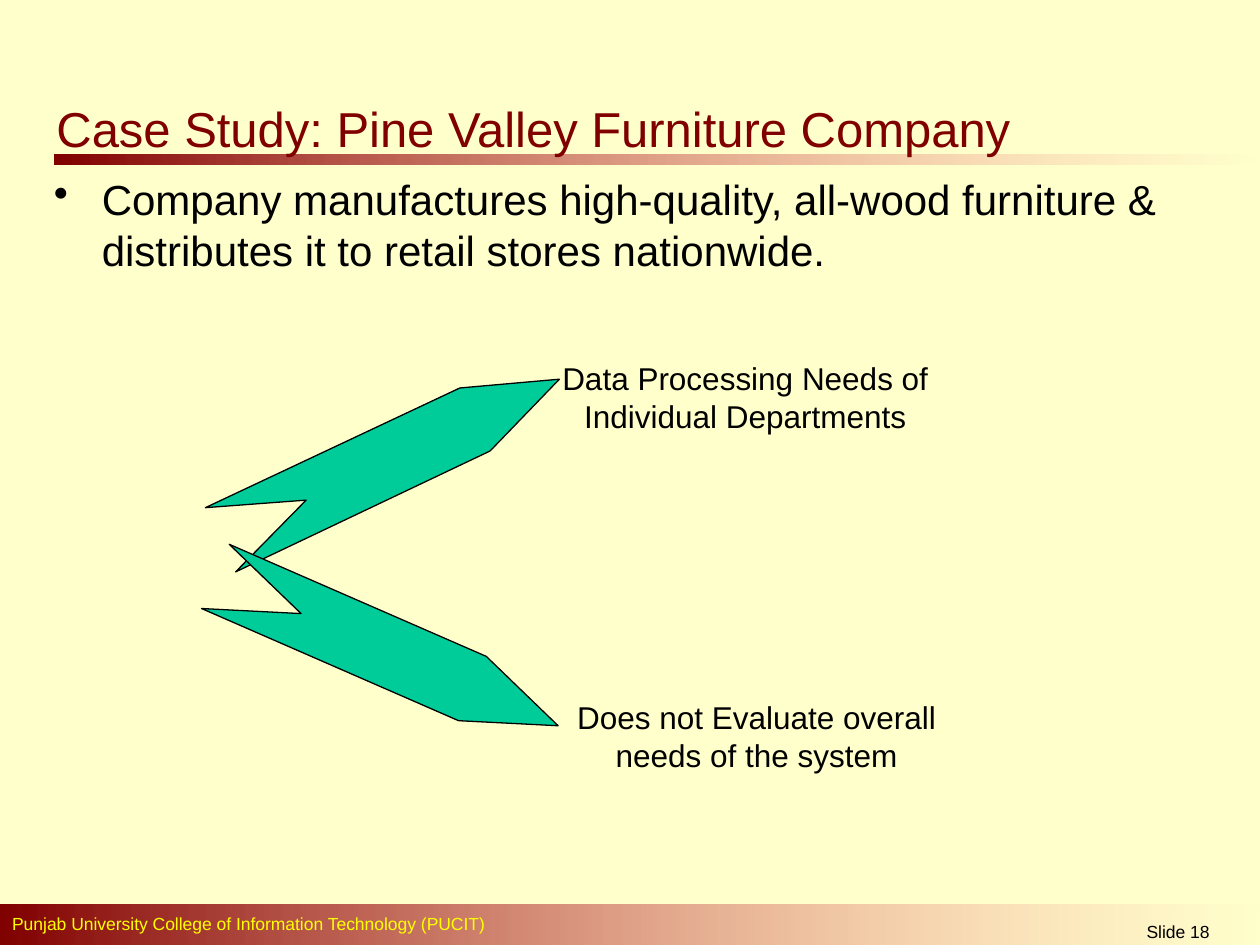
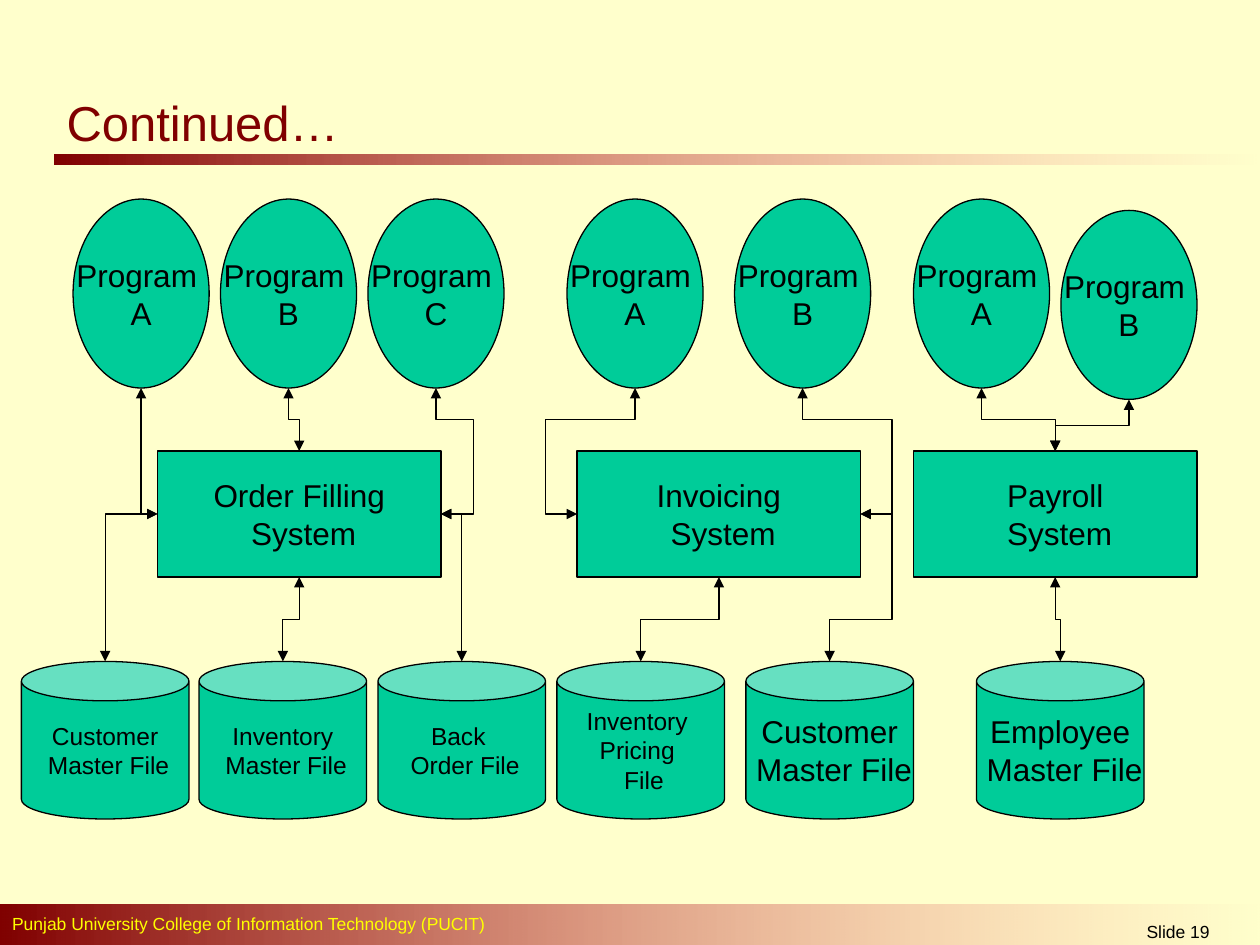
from lxml import etree
from pptx import Presentation
from pptx.dml.color import RGBColor
from pptx.enum import shapes, text
from pptx.oxml.ns import qn
from pptx.util import Inches, Pt

# Content
COLORS = {"page": "FFFFCC", "maroon": "800000", "fade": "FF8585",
          "footer": "FFFF00", "ink": "000000", "green": "00CC99"}
FONT = "Arial"
FOOTER = " Punjab University College of Information Technology (PUCIT)"

CASE_TITLE = ("Case Study: Pine Valley Furniture Company", (0.35, 0.68, 8.83, 0.67))
CASE_BULLET = ("Company manufactures high-quality, all-wood furniture & "
               "distributes it to retail stores nationwide.")
# Each finding: arrow outline, label, label box
FINDINGS = [
    ([(1.63, 4.03), (3.65, 3.08), (4.44, 3.01), (3.89, 3.58), (1.87, 4.54), (2.43, 3.97)],
     "Data Processing Needs of Individual Departments", (4.08, 2.8, 3.67, 0.7)),
    ([(1.82, 4.32), (3.86, 5.21), (4.43, 5.76), (3.64, 5.72), (1.6, 4.83), (2.39, 4.87)],
     "Does not Evaluate overall needs of the system", (4.17, 5.49, 3.67, 0.7)),
]

FLOW_TITLE = ("Continued…", (0.43, 0.68, 3, 0.58))
SYSTEM_TOP, SYSTEM_SIZE = 3.58, (2.25, 1)
PROGRAM_SIZE = (1.08, 1.5)
FILE_TOP, FILE_SIZE = 5.25, (1.33, 1.25)
SYSTEMS = {"order": ("Order Filling", 1.25),
           "invoice": ("Invoicing", 4.58),
           "payroll": ("Payroll", 7.25)}
# Program: letter, left, top, system, side entered, x of a detour
PROGRAMS = [
    ("A", 0.58, 1.58, "order", "left", None),
    ("B", 1.75, 1.58, "order", "top", None),
    ("C", 2.92, 1.58, "order", "right", 3.76),
    ("A", 4.5, 1.58, "invoice", "left", 4.33),
    ("B", 5.83, 1.58, "invoice", "right", 7.08),
    ("A", 7.25, 1.58, "payroll", "top", None),
    ("B", 8.42, 1.67, "payroll", "top", None),
]
# File: lines, text size, left, system, side entered, x of a detour
FILES = [
    (["Customer", " Master File"], 14, 0.17, "order", "left", None),
    (["Inventory", " Master File"], 14, 1.58, "order", "bottom", None),
    (["Back ", " Order File"], 14, 3, "order", "right", None),
    (["Inventory ", "Pricing ", " File"], 14, 4.42, "invoice", "bottom", None),
    (["Customer", " Master File"], 18, 5.92, "invoice", "right", 7.08),
    (["Employee", " Master File"], 18, 7.75, "payroll", "bottom", None),
]


# Helpers
def rgb(name):
    return RGBColor.from_string(COLORS[name])


def write(shape, lines, size, color="ink", align=None):
    for index, line in enumerate(lines):
        frame = shape.text_frame
        paragraph = frame.add_paragraph() if index else frame.paragraphs[0]
        paragraph.text = line
        paragraph.alignment = align
        font = paragraph.font
        font.name, font.size = FONT, Pt(size)
        font.color.rgb = rgb(color)


def add_text(slide, box, line, size, color="ink", align=None,
             anchor=text.MSO_ANCHOR.TOP):
    shape = slide.shapes.add_textbox(*map(Inches, box))
    shape.text_frame.word_wrap = True
    shape.text_frame.vertical_anchor = anchor
    write(shape, [line], size, color, align)
    return shape


def paint(shape):
    shape.shadow.inherit = False
    shape.fill.solid()
    shape.fill.fore_color.rgb = rgb("green")
    shape.line.color.rgb = rgb("ink")
    shape.line.width = Pt(0.75)


def add_node(slide, kind, box, lines, size=18):
    shape = slide.shapes.add_shape(kind, *map(Inches, box))
    paint(shape)
    shape.text_frame.word_wrap = False
    shape.text_frame.vertical_anchor = text.MSO_ANCHOR.MIDDLE
    write(shape, lines, size, align=text.PP_ALIGN.CENTER)
    return shape


def add_band(slide, box):
    band = slide.shapes.add_shape(shapes.MSO_SHAPE.RECTANGLE, *map(Inches, box))
    band.shadow.inherit = False
    band.line.fill.background()
    band.fill.gradient()
    band.fill.gradient_angle = 0
    for stop, name in zip(band.fill.gradient_stops, ("maroon", "fade")):
        stop.color.rgb = rgb(name)
    last_color = list(band._element.spPr.iter(qn("a:srgbClr")))[-1]
    etree.SubElement(last_color, qn("a:alpha"), val="0")


def add_bullet(paragraph):
    properties = paragraph._p.get_or_add_pPr()
    properties.set("marL", str(Inches(0.38)))
    properties.set("indent", str(-Inches(0.38)))
    bullet_color = etree.SubElement(properties, qn("a:buClr"))
    etree.SubElement(bullet_color, qn("a:srgbClr"), val=COLORS["ink"])
    etree.SubElement(properties, qn("a:buChar"), char="•")


def add_elbow(slide, start, end, bends):
    """Leave start vertically; bends holds fractions of the height, then width."""
    (x1, y1), (x2, y2) = start, end
    length, breadth = abs(y2 - y1), abs(x2 - x1)
    left, top = (x1 + x2 - length) / 2, (y1 + y2 - breadth) / 2
    connector = slide.shapes.add_connector(
        shapes.MSO_CONNECTOR.ELBOW,
        *map(Inches, (left, top, left + length, top + breadth)))
    connector.line.color.rgb = rgb("ink")
    connector.line.width = Pt(0.75)
    properties = connector._element.spPr
    transform = properties.find(qn("a:xfrm"))
    turn = 270 if (x2 - x1) * (y2 - y1) > 0 else 90
    transform.set("rot", str(turn * 60000))
    transform.set("flipH", str(int(x2 > x1)))
    transform.set("flipV", str(int(y2 < y1)))
    geometry = properties.find(qn("a:prstGeom"))
    geometry.set("prst", f"bentConnector{2 + len(bends)}")
    guides = geometry.find(qn("a:avLst"))
    if guides is None:
        guides = etree.SubElement(geometry, qn("a:avLst"))
    for number, bend in enumerate(bends, 1):
        etree.SubElement(guides, qn("a:gd"), name=f"adj{number}",
                         fmla=f"val {round(bend * 100000)}")
    line = properties.find(qn("a:ln"))
    for tip in ("a:headEnd", "a:tailEnd"):
        etree.SubElement(line, qn(tip), type="triangle")
    etree.SubElement(properties, qn("a:effectLst"))


def link(slide, start, system, side, detour):
    left = SYSTEMS[system][1]
    width, height = SYSTEM_SIZE
    top, bottom = SYSTEM_TOP, SYSTEM_TOP + height
    end = {"left": (left, top + height / 2),
           "right": (left + width, top + height / 2),
           "top": (left + width / 2, top),
           "bottom": (left + width / 2, bottom)}[side]
    bends = []
    if detour or side in ("top", "bottom"):
        facing = top if start[1] < top else bottom
        bends.append((facing - start[1]) / 2 / (end[1] - start[1]))
    if detour:
        bends.append((detour - start[0]) / (end[0] - start[0]))
    add_elbow(slide, start, end, bends)


def add_slide(presentation, number, title, title_box):
    slide = presentation.slides.add_slide(presentation.slide_layouts[6])
    slide.background.fill.solid()
    slide.background.fill.fore_color.rgb = rgb("page")
    add_band(slide, (0.43, 1.23, 9.57, 0.08))
    add_band(slide, (0, 7.18, 10.03, 0.35))
    add_text(slide, (-0.04, 7.2, 6.46, 0.27), FOOTER, 10, "footer")
    add_text(slide, (8.31, 7.26, 2.08, 0.24), f"Slide {number}", 10,
             align=text.PP_ALIGN.CENTER)
    add_text(slide, title_box, title, 28, "maroon", anchor=text.MSO_ANCHOR.MIDDLE)
    return slide


# Slides
def build_case_study(presentation):
    slide = add_slide(presentation, 18, *CASE_TITLE)
    body = slide.shapes.add_textbox(*map(Inches, (0.33, 1.33, 9.5, 5.75)))
    body.text_frame.word_wrap = True
    add_bullet(body.text_frame.paragraphs[0])
    write(body, [CASE_BULLET], 24)
    for outline, label, box in FINDINGS:
        points = [tuple(map(Inches, point)) for point in outline]
        builder = slide.shapes.build_freeform(*points[0])
        builder.add_line_segments(points[1:], close=True)
        paint(builder.convert_to_shape())
        add_text(slide, box, label, 18, align=text.PP_ALIGN.CENTER)


def build_flow(presentation):
    slide = add_slide(presentation, 19, *FLOW_TITLE)
    links = []
    for name, left in SYSTEMS.values():
        add_node(slide, shapes.MSO_SHAPE.RECTANGLE,
                 (left, SYSTEM_TOP, *SYSTEM_SIZE), [name, " System"])
    for letter, left, top, *route in PROGRAMS:
        width, height = PROGRAM_SIZE
        add_node(slide, shapes.MSO_SHAPE.OVAL,
                 (left, top, width, height), ["Program ", letter])
        links.append(((left + width / 2, top + height), *route))
    for lines, size, left, *route in FILES:
        add_node(slide, shapes.MSO_SHAPE.CAN,
                 (left, FILE_TOP, *FILE_SIZE), lines, size)
        links.append(((left + FILE_SIZE[0] / 2, FILE_TOP), *route))
    for start, *route in links:
        link(slide, start, *route)


def main():
    presentation = Presentation()
    presentation.slide_width, presentation.slide_height = Inches(10), Inches(7.5)
    build_case_study(presentation)
    build_flow(presentation)
    presentation.save("out.pptx")


if __name__ == "__main__":
    main()
